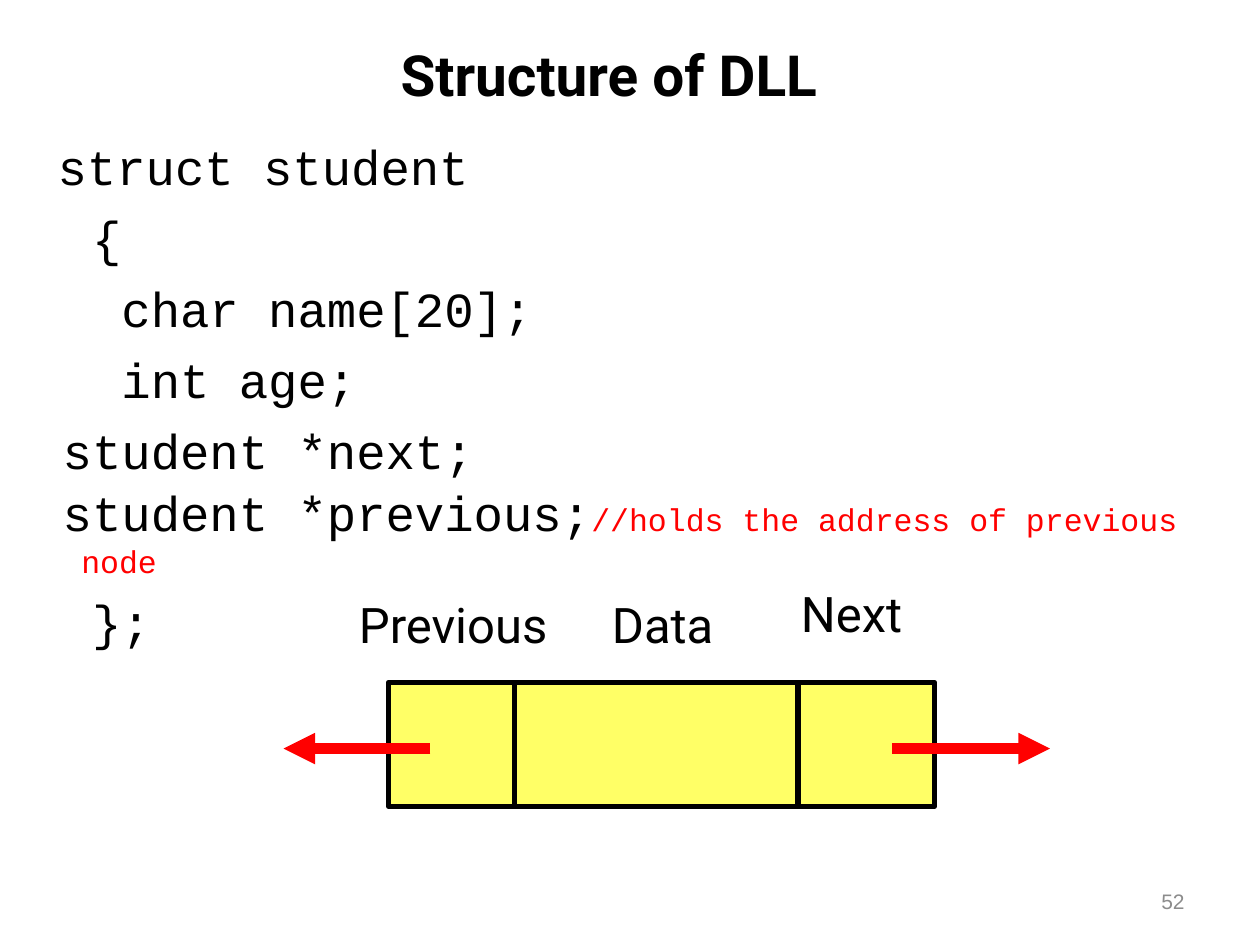
from dataclasses import dataclass

from lxml import etree
from pptx import Presentation
from pptx.dml.color import RGBColor
from pptx.enum.shapes import MSO_CONNECTOR, MSO_SHAPE
from pptx.enum.text import MSO_ANCHOR, PP_ALIGN
from pptx.oxml.ns import qn
from pptx.util import Inches, Pt

STRAIGHT = MSO_CONNECTOR.STRAIGHT
RECTANGLE = MSO_SHAPE.RECTANGLE
TOP, MIDDLE = MSO_ANCHOR.TOP, MSO_ANCHOR.MIDDLE
LEFT, CENTER, RIGHT = PP_ALIGN.LEFT, PP_ALIGN.CENTER, PP_ALIGN.RIGHT

UNITS_PER_INCH = 12
BLACK, RED, YELLOW, GREY = "000000", "FF0000", "FFFF66", "8C8C8C"
SANS, MONO = "Roboto", "Courier New"


@dataclass
class Label:
    text: str
    box: tuple
    size: float = 28
    font: str = SANS
    color: str = BLACK
    bold: bool = False
    align: PP_ALIGN = LEFT
    anchor: MSO_ANCHOR = TOP
    inset: float = 0.1


@dataclass
class Line:
    start: tuple
    end: tuple
    color: str = BLACK
    width: float = 3
    arrow: bool = False


@dataclass
class Code:
    text: str
    before: float = 7
    comment: str = ""
    lead: str = ""


LABELS = [
    Label("Structure of DLL", (4, 3, 108, 8), 32.4, bold=True, align=CENTER, anchor=MIDDLE),
    Label("Previous", (33, 56, 21, 6.6)),
    Label("Data", (56, 56, 15, 6.6), inset=0.19),
    Label("Next", (74, 55, 16, 6.6), inset=0.19),
    Label("52", (86, 83.4, 28, 4.8), 12, "Arial", GREY, align=RIGHT, anchor=MIDDLE),
]
CODE = [
    Code("struct student", 0, lead="  "),
    Code("  {"),
    Code("   char name[20];"),
    Code("   int age;"),
    Code(" student *next;"),
    Code(" student *previous;", 2, "//holds the address of previous node"),
    Code("  };"),
]
CODE_BOX = (2, 12, 118, 47)
NODE_BOX = (37, 65, 52, 11.8)
LINES = [
    Line((49, 65), (49, 77)),
    Line((76, 65), (76, 77)),
    Line((41, 71.3), (27, 71.3), RED, 6, True),
    Line((85, 71.3), (100, 71.3), RED, 6, True),
]


def grid(*units: float) -> list:
    """Turn grid units into lengths."""
    return [Inches(u / UNITS_PER_INCH) for u in units]


def paint(target, color: str) -> None:
    """Give a fill or font a solid colour."""
    if hasattr(target, "solid"):
        target.solid()
        target.fore_color.rgb = RGBColor.from_string(color)
    else:
        target.color.rgb = RGBColor.from_string(color)


def set_font(font, name: str, size: float, color: str, bold: bool = False) -> None:
    """Set a font's face, size, colour and weight."""
    font.name, font.size, font.bold = name, Pt(size), bold
    paint(font, color)


def add_frame(s, box: tuple):
    """Add a wrapping text box and return its text frame."""
    tf = s.shapes.add_textbox(*grid(*box)).text_frame
    tf.word_wrap = True
    return tf


def add_label(s, label: Label) -> None:
    """Draw a single-paragraph label."""
    tf = add_frame(s, label.box)
    tf.vertical_anchor = label.anchor
    tf.margin_left = Inches(label.inset)
    p = tf.paragraphs[0]
    p.text, p.alignment = label.text, label.align
    set_font(p.font, label.font, label.size, label.color, label.bold)


def add_code(s, lines: list[Code]) -> None:
    """Draw the listing with hanging indents."""
    tf = add_frame(s, CODE_BOX)
    tf.margin_top = Inches(0.08)
    for i, line in enumerate(lines):
        p = tf.add_paragraph() if i else tf.paragraphs[0]
        pPr = p._p.get_or_add_pPr()
        pPr.set("marL", str(Inches(0.38)))
        pPr.set("indent", str(-Inches(0.38)))
        p.space_before = Pt(line.before)
        runs = [(line.lead, SANS, 28, BLACK), (line.text, MONO, 28, BLACK),
                (line.comment, MONO, 18, RED)]
        for text, font, size, color in runs:
            if text:
                r = p.add_run()
                r.text = text
                set_font(r.font, font, size, color)


def add_node(s) -> None:
    """Draw the list node's rectangle."""
    sp = s.shapes.add_shape(RECTANGLE, *grid(*NODE_BOX))
    sp.shadow.inherit = False
    paint(sp.fill, YELLOW)
    paint(sp.line.fill, BLACK)
    sp.line.width = Pt(3)


def add_line(s, line: Line) -> None:
    """Draw a straight line, with an arrowhead if asked."""
    cx = s.shapes.add_connector(STRAIGHT, *grid(*line.start, *line.end))
    paint(cx.line.fill, line.color)
    cx.line.width = Pt(line.width)
    if line.arrow:
        etree.SubElement(cx.line._get_or_add_ln(), qn("a:tailEnd"), type="triangle")
    etree.SubElement(cx._element.spPr, qn("a:effectLst"))


def main() -> None:
    """Build the slide and save it."""
    prs = Presentation()
    prs.slide_width, prs.slide_height = Inches(10), Inches(7.5)
    s = prs.slides.add_slide(prs.slide_layouts[6])
    add_code(s, CODE)
    for label in LABELS:
        add_label(s, label)
    add_node(s)
    for line in LINES:
        add_line(s, line)
    prs.save("out.pptx")


if __name__ == "__main__":
    main()
